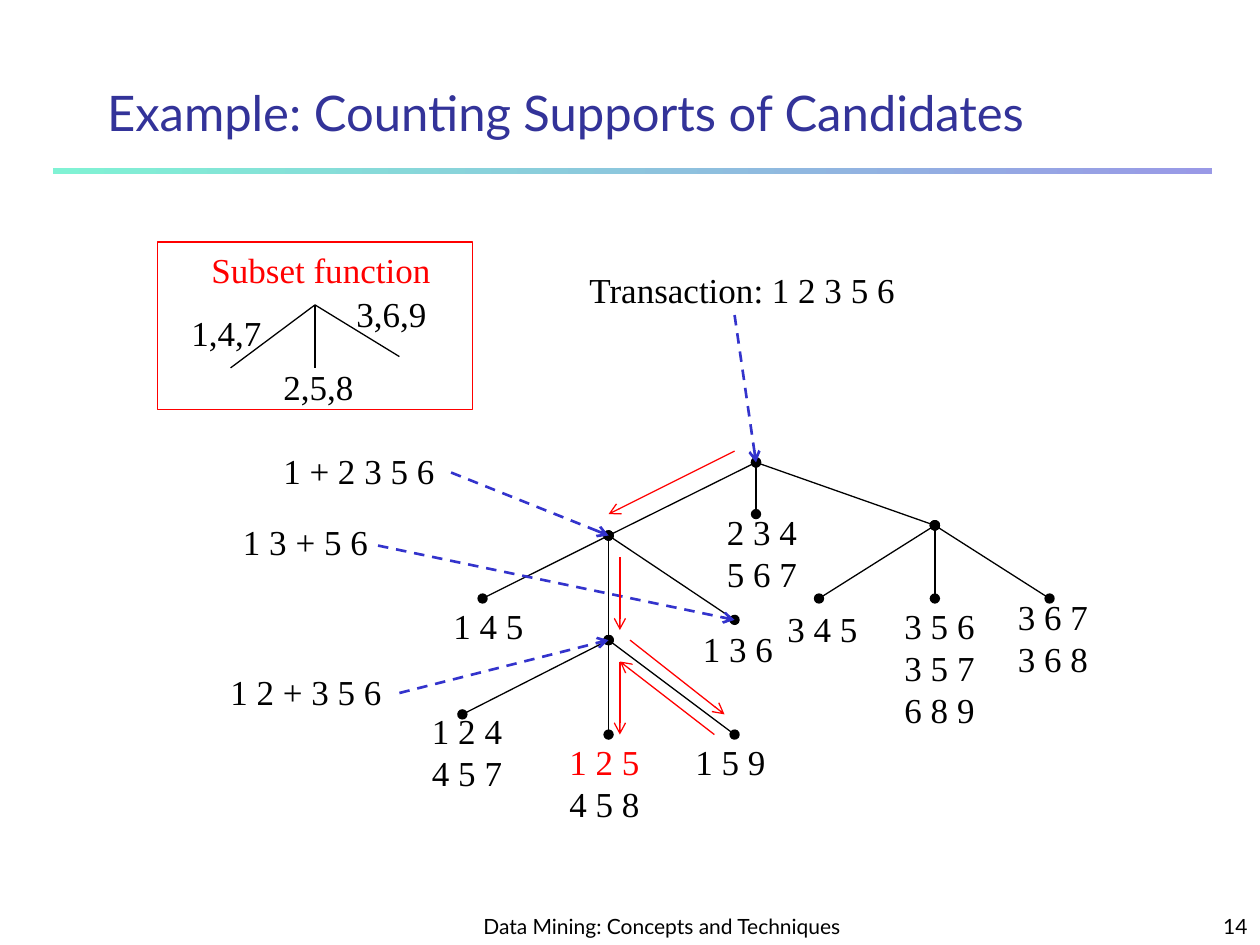
from lxml import etree
from pptx import Presentation, util as u
from pptx.dml.color import RGBColor
from pptx.enum import dml, shapes, text
from pptx.oxml.ns import qn

COLORS = {"title": "333399", "ink": "000000", "hit": "FF0000", "pointer": "3333CC",
          "rule_left": "80F2D4", "rule_right": "9999E6"}
SERIF, SANS = "Times New Roman", "Lato"

prs = Presentation()
prs.slide_width, prs.slide_height = u.Inches(10), u.Inches(7.5)
slide = prs.slides.add_slide(prs.slide_layouts[5])


def write(frame, lines, size, font, align=text.PP_ALIGN.LEFT,
          anchor=text.MSO_ANCHOR.TOP, wrap=False):
    frame.word_wrap = wrap
    frame.auto_size = text.MSO_AUTO_SIZE.NONE
    frame.vertical_anchor = anchor
    for i, (words, color) in enumerate(lines):
        para = frame.paragraphs[0] if i == 0 else frame.add_paragraph()
        para.alignment = align
        run = para.add_run()
        run.text = words
        run.font.size, run.font.name = u.Pt(size), font
        run.font.color.rgb = RGBColor.from_string(COLORS[color])


def connect(start, end, color="ink", width=0.75, head=None, tail=None, dashed=False):
    link = slide.shapes.add_connector(
        shapes.MSO_CONNECTOR.STRAIGHT, *[u.Inches(v) for v in (*start, *end)])
    link.line.color.rgb = RGBColor.from_string(COLORS[color])
    link.line.width = u.Pt(width)
    if dashed:
        link.line.dash_style = dml.MSO_LINE.DASH
    props = link._element.spPr
    outline = props.find(qn("a:ln"))
    for tag, mark in (("a:headEnd", head), ("a:tailEnd", tail)):
        if mark:
            etree.SubElement(outline, qn(tag), type=mark)
    etree.SubElement(props, qn("a:effectLst"))


rule = slide.shapes.add_shape(shapes.MSO_SHAPE.RECTANGLE, u.Inches(0.42), u.Inches(1.33),
                              u.Inches(9.2), u.Inches(0.05))
rule.shadow.inherit = False
rule.line.fill.background()
rule.fill.gradient()
rule.fill.gradient_angle = 0
for stop, side in zip(rule.fill.gradient_stops, ("rule_left", "rule_right")):
    stop.color.rgb = RGBColor.from_string(COLORS[side])

title = slide.shapes.title
title.left, title.top = u.Inches(0.75), u.Inches(0.5)
title.width, title.height = u.Inches(8.52), u.Inches(0.67)
write(title.text_frame, [("Example: Counting Supports of Candidates", "title")], 28, SANS,
      anchor=text.MSO_ANCHOR.BOTTOM, wrap=True)

legend = slide.shapes.add_shape(shapes.MSO_SHAPE.RECTANGLE, u.Inches(1.25), u.Inches(1.92),
                                u.Inches(2.5), u.Inches(1.33))
legend.shadow.inherit = False
legend.fill.background()
legend.line.color.rgb = RGBColor.from_string(COLORS["hit"])
legend.line.width = u.Pt(0.75)
for branch_end in ((1.83, 2.92), (2.5, 2.92), (3.17, 2.83)):
    connect((2.5, 2.42), branch_end)

root, left, right, inner, leaf_136 = (6, 3.67), (4.83, 4.25), (7.42, 4.17), (4.83, 5.08), (5.83, 4.92)
tree = {
    root: (left, right, (6, 4.08)),
    left: ((3.83, 4.75), inner, leaf_136),
    inner: ((3.67, 5.67), (4.83, 5.83), (5.83, 5.83)),
    right: ((6.5, 4.75), (7.42, 4.75), (8.33, 4.75)),
}
for parent, children in tree.items():
    for child in children:
        connect(parent, child, head="oval", tail="oval")

labels = [
    (1.42, 2.42, 0.75, ["1,4,7"]),
    (2.15, 2.85, 0.75, ["2,5,8"]),
    (2.73, 2.27, 0.75, ["3,6,9"]),
    (1.58, 1.92, 1.94, ["Subset function"]),
    (5.67, 4, 0.75, ["2 3 4", "5 6 7"]),
    (3.5, 4.75, 0.75, ["1 4 5"]),
    (5.48, 4.93, 0.75, ["1 3 6"]),
    (3.33, 5.58, 0.75, ["1 2 4", "4 5 7"]),
    (4.42, 5.83, 0.75, ["1 2 5", "4 5 8"]),
    (5.42, 5.83, 0.75, ["1 5 9"]),
    (6.15, 4.77, 0.75, ["3 4 5"]),
    (7.08, 4.75, 0.75, ["3 5 6", "3 5 7", "6 8 9"]),
    (7.98, 4.68, 0.75, ["3 6 7", "3 6 8"]),
    (4.58, 2.08, 2.63, ["Transaction: 1 2 3 5 6"]),
    (2.15, 3.52, 1.4, ["1 + 2 3 5 6"]),
    (1.73, 5.27, 1.4, ["1 2 + 3 5 6"]),
    (1.83, 4.08, 1.19, ["1 3 + 5 6"]),
]
highlighted = {"Subset function", "1 2 5"}
for x, y, width, lines in labels:
    label = slide.shapes.add_textbox(u.Inches(x), u.Inches(y), u.Inches(width),
                                     u.Inches(0.11 + 0.33 * len(lines)))
    write(label.text_frame,
          [(line, "hit" if line in highlighted else "ink") for line in lines], 20, SERIF)

for start, node in (((5.83, 2.5), root), ((3.58, 3.75), left),
                    ((3.17, 5.5), inner), ((3, 4.33), leaf_136)):
    connect(start, node, "pointer", 1.5, tail="arrow", dashed=True)

for start, end in (((5.83, 3.58), (4.83, 4.08)), ((5, 5.08), (5.75, 5.67)),
                   ((5.67, 5.83), (4.92, 5.25)), ((4.92, 4.42), (4.92, 5)),
                   ((4.92, 5.25), (4.92, 5.83))):
    connect(start, end, "hit", tail="arrow")

for x, width, words, align in (
        (3.67, 3.17, "Data Mining: Concepts and Techniques", text.PP_ALIGN.CENTER),
        (7.92, 2.08, "14", text.PP_ALIGN.RIGHT)):
    footer = slide.shapes.add_textbox(u.Inches(x), u.Inches(7.08), u.Inches(width), u.Inches(0.42))
    write(footer.text_frame, [(words, "ink")], 12, SANS, align, text.MSO_ANCHOR.BOTTOM, True)

prs.save("out.pptx")
